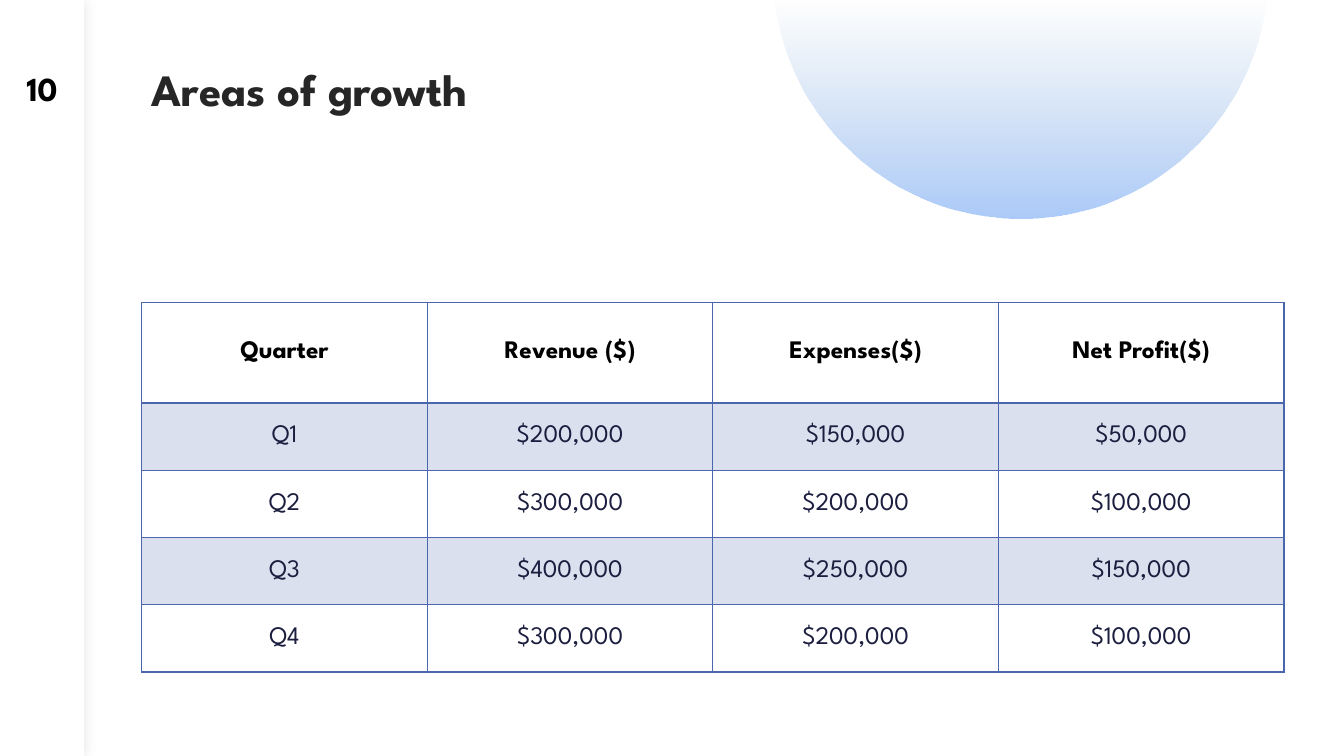
from dataclasses import dataclass
from math import cos, pi, sin, acos

from lxml.etree import SubElement
from pptx import Presentation
from pptx.dml.color import RGBColor
from pptx.enum.shapes import MSO_SHAPE
from pptx.enum.text import MSO_ANCHOR, PP_ALIGN
from pptx.oxml.ns import qn
from pptx.util import Pt

EMU_PER_PX = 9525


def px(length):
    """Turn pixels into EMU."""
    return round(length * EMU_PER_PX)


def add_element(parent, tag, **attributes):
    """Append a DrawingML element and return it."""
    values = {name: str(value) for name, value in attributes.items()}
    return SubElement(parent, qn(f"a:{tag}"), values)


def add_color(parent, color, opacity=100):
    """Append a colour with its opacity in percent."""
    element = add_element(parent, "srgbClr", val=color)
    if opacity < 100:
        add_element(element, "alpha", val=opacity * 1000)


@dataclass(frozen=True)
class Theme:
    """Fonts, colours and type sizes of the slide."""

    font: str = "League Spartan"
    white: str = "FFFFFF"
    black: str = "000000"
    title: str = "262626"
    body: str = "1B1E3E"
    accent: str = "4A66AC"
    dome_top: str = "B4CCE7"
    dome_bottom: str = "ACCBF9"
    title_size: int = 32
    number_size: int = 24
    table_size: int = 18


class SlideBuilder:
    """Draws styled elements on the current slide."""

    def __init__(self, slide, theme):
        """Keep the slide and its theme."""
        self.slide = slide
        self.theme = theme

    def style(self, paragraph, size, color, bold, align):
        """Set the font and alignment of a paragraph."""
        paragraph.alignment = align
        paragraph.font.name = self.theme.font
        paragraph.font.size = Pt(size)
        paragraph.font.bold = bold
        paragraph.font.color.rgb = RGBColor.from_string(color)

    def dome(self, center_x, center_y, radius, steps=120):
        """Draw the part of a circle below the top edge, fading upwards."""
        half_angle = acos(-center_y / radius)
        angles = [pi / 2 - half_angle + 2 * half_angle * step / steps
                  for step in range(steps + 1)]
        points = [(px(center_x + radius * cos(angle)),
                   px(center_y + radius * sin(angle))) for angle in angles]
        builder = self.slide.shapes.build_freeform(*points[0])
        builder.add_line_segments(points[1:])
        shape = builder.convert_to_shape()
        shape.shadow.inherit = False
        shape.line.fill.background()
        shape.fill.gradient()
        gradient = shape.fill._fill._gradFill
        for child in list(gradient):
            gradient.remove(child)
        stops = add_element(gradient, "gsLst")
        add_color(add_element(stops, "gs", pos=0), self.theme.dome_top, 0)
        add_color(add_element(stops, "gs", pos=100000), self.theme.dome_bottom)
        add_element(gradient, "lin", ang=5400000, scaled=0)

    def side_panel(self, left, top, width, height):
        """Draw a white panel with a soft shadow."""
        shape = self.slide.shapes.add_shape(
            MSO_SHAPE.RECTANGLE, px(left), px(top), px(width), px(height))
        shape.fill.solid()
        shape.fill.fore_color.rgb = RGBColor.from_string(self.theme.white)
        shape.line.fill.background()
        shape.shadow.inherit = False
        effects = shape._element.spPr.find(qn("a:effectLst"))
        shadow = add_element(effects, "outerShdw", blurRad=Pt(10), dist=0)
        add_color(shadow, self.theme.black, 10)

    def text(self, text, left, top, width, height, size, color,
             align=PP_ALIGN.LEFT, anchor=MSO_ANCHOR.TOP, line_spacing=1.0):
        """Write a bold line of text."""
        frame = self.slide.shapes.add_textbox(
            px(left), px(top), px(width), px(height)).text_frame
        frame.word_wrap = True
        frame.vertical_anchor = anchor
        paragraph = frame.paragraphs[0]
        paragraph.text = text
        paragraph.line_spacing = line_spacing
        self.style(paragraph, size, color, True, align)

    def cell(self, cell, text, row):
        """Fill in a table cell, styled by its row."""
        theme = self.theme
        cell.text = text
        cell.vertical_anchor = MSO_ANCHOR.MIDDLE
        self.style(cell.text_frame.paragraphs[0], theme.table_size,
                   theme.body if row else theme.black, row == 0, PP_ALIGN.CENTER)
        properties = cell._tc.get_or_add_tcPr()
        widths = {"lnL": 1, "lnR": 1, "lnT": 2 if row == 1 else 1,
                  "lnB": 2 if row == 0 else 1}
        for side, width in widths.items():
            line = add_element(properties, side, w=Pt(width))
            add_color(add_element(line, "solidFill"), theme.accent)
        if row % 2:
            add_color(add_element(properties, "solidFill"), theme.accent, 20)
        else:
            cell.fill.background()

    def table(self, rows, left, top, column_width, row_heights):
        """Draw a bordered table with tinted odd rows."""
        columns = len(rows[0])
        table = self.slide.shapes.add_table(
            len(rows), columns, px(left), px(top),
            px(column_width * columns), px(sum(row_heights))).table
        table.first_row = False
        table.horz_banding = False
        for column in table.columns:
            column.width = px(column_width)
        for row, (values, height) in enumerate(zip(rows, row_heights)):
            table.rows[row].height = px(height)
            for column, value in enumerate(values):
                self.cell(table.cell(row, column), value, row)


def main():
    """Build the slide and save it."""
    presentation = Presentation()
    presentation.slide_width = px(1280)
    presentation.slide_height = px(720)
    slide = presentation.slides.add_slide(presentation.slide_layouts[6])
    theme = Theme()
    builder = SlideBuilder(slide, theme)
    builder.dome(972, -28, 236)
    builder.side_panel(0, 0, 80, 720)
    builder.text("Areas of growth", 135, 64, 516, 152, theme.title_size,
                 theme.title, line_spacing=0.8)
    builder.text("10", 0, 64, 80, 40, theme.number_size, theme.black,
                 PP_ALIGN.CENTER, MSO_ANCHOR.MIDDLE)
    quarters = [
        ("Quarter", "Revenue ($)", "Expenses($)", "Net Profit($)"),
        ("Q1", "$200,000", "$150,000", "$50,000"),
        ("Q2", "$300,000", "$200,000", "$100,000"),
        ("Q3", "$400,000", "$250,000", "$150,000"),
        ("Q4", "$300,000", "$200,000", "$100,000"),
    ]
    builder.table(quarters, 135, 288, 272, [96] + [64] * 4)
    presentation.save("out.pptx")


if __name__ == "__main__":
    main()
